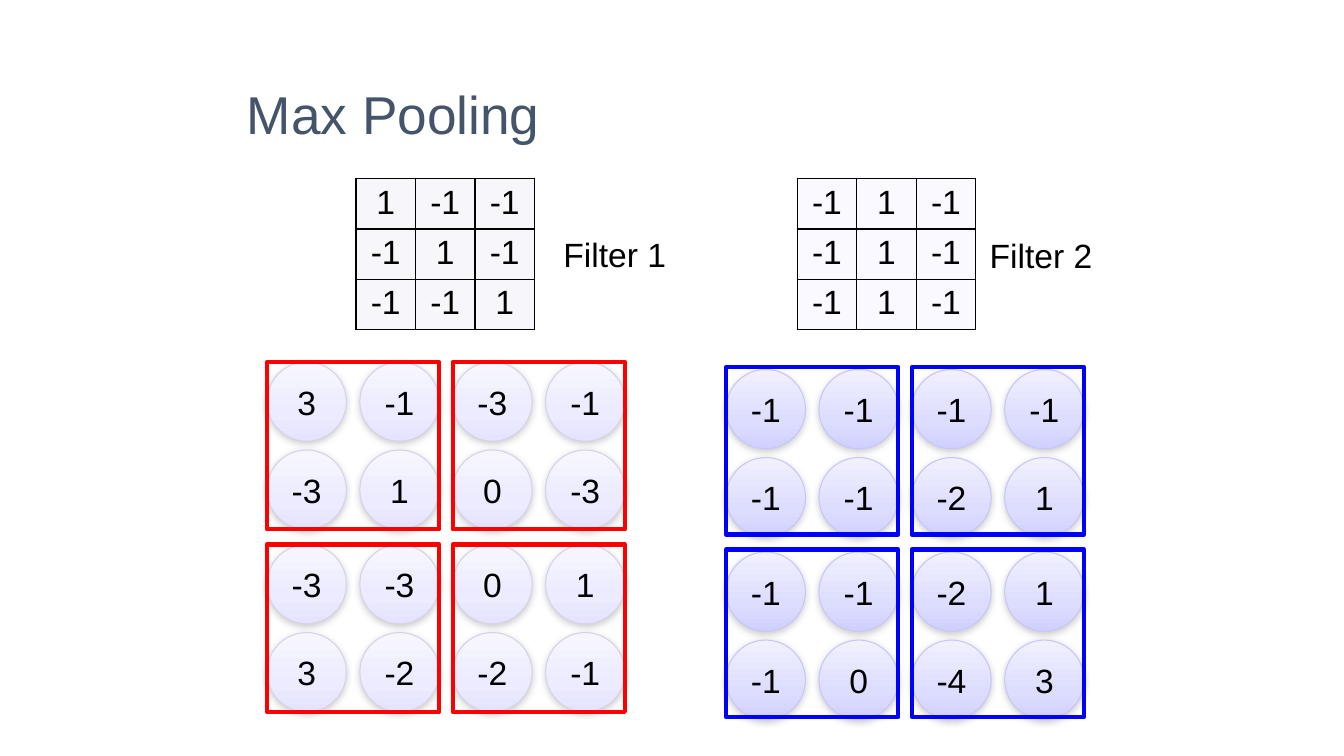
from dataclasses import dataclass
from itertools import product

from pptx import Presentation
from pptx.dml.color import RGBColor
from pptx.enum.shapes import MSO_SHAPE
from pptx.enum.text import MSO_ANCHOR, MSO_AUTO_SIZE, PP_ALIGN
from pptx.oxml import parse_xml
from pptx.oxml.ns import nsdecls, qn
from pptx.util import Cm, Pt


@dataclass(frozen=True)
class Theme:
    font: str = "Arial"
    title_size: int = 38
    body_size: int = 24
    title: str = "44546A"
    text: str = "000000"
    border: str = "000000"
    shadow: str = "808080"


@dataclass(frozen=True)
class Channel:
    label: str
    label_at: tuple
    filter_left: float
    filter_fill: str
    filter_values: tuple
    map_left: float
    circle_top: float
    frame_top: float
    gradient: tuple
    circle_line: str
    frame_line: str
    map_values: tuple


THEME = Theme()
FILTER_TOP, FILTER_COLUMN, FILTER_ROW = 4.5, 1.5, 1.27
CIRCLE_SIZE, CIRCLE_STEP_X, CIRCLE_STEP_Y = 2.0, 2.34, 2.22
WINDOW_STEP_X, WINDOW_STEP_Y = 4.68, 4.6
WINDOW_WIDTH, WINDOW_HEIGHT = 4.34, 4.22

CHANNELS = (
    Channel(
        label="Filter 1", label_at=(13.49, 5.77),
        filter_left=8.97, filter_fill="F7F7FB",
        filter_values=((1, -1, -1), (-1, 1, -1), (-1, -1, 1)),
        map_left=6.73, circle_top=9.12, frame_top=9.12,
        gradient=((0, "F7F6FF"), (65, "ECEBFF"), (100, "E5E3FF")),
        circle_line="D4D3E7", frame_line="FF0000",
        map_values=((3, -1, -3, -1), (-3, 1, 0, -3),
                    (-3, -3, 0, 1), (3, -2, -2, -1)),
    ),
    Channel(
        label="Filter 2", label_at=(24.23, 5.79),
        filter_left=20.09, filter_fill="F9F9FF",
        filter_values=((-1, 1, -1), (-1, 1, -1), (-1, 1, -1)),
        map_left=18.3, circle_top=9.31, frame_top=9.25,
        gradient=((0, "F0F0FF"), (65, "DDDDFF"), (100, "D0D0FF")),
        circle_line="C6C6FB", frame_line="0000FF",
        map_values=((-1, -1, -1, -1), (-1, -1, -2, 1),
                    (-1, -1, -2, 1), (-1, 0, -4, 3)),
    ),
)


def write(text_frame, text, size=THEME.body_size, color=THEME.text, align=PP_ALIGN.CENTER):
    paragraph = text_frame.paragraphs[0]
    paragraph.text = str(text)
    paragraph.alignment = align
    paragraph.font.name = THEME.font
    paragraph.font.size = Pt(size)
    paragraph.font.color.rgb = RGBColor.from_string(color)


def add_title(slide, text):
    text_frame = slide.shapes.add_textbox(Cm(5.97), Cm(1.02), Cm(21.89), Cm(3.68)).text_frame
    text_frame.word_wrap = True
    text_frame.vertical_anchor = MSO_ANCHOR.MIDDLE
    write(text_frame, text, THEME.title_size, THEME.title, PP_ALIGN.LEFT)


def add_label(slide, text, left, top):
    text_frame = slide.shapes.add_textbox(Cm(left), Cm(top), Cm(4.01), Cm(1.28)).text_frame
    text_frame.word_wrap = True
    text_frame.auto_size = MSO_AUTO_SIZE.SHAPE_TO_FIT_TEXT
    write(text_frame, text)


def add_borders(cell):
    properties = cell._tc.get_or_add_tcPr()
    for side in ("lnL", "lnR", "lnT", "lnB"):
        properties.append(parse_xml(
            f'<a:{side} {nsdecls("a")} w="{Pt(1)}"><a:solidFill>'
            f'<a:srgbClr val="{THEME.border}"/></a:solidFill></a:{side}>'))


def add_filter(slide, channel):
    values = channel.filter_values
    rows, columns = len(values), len(values[0])
    table = slide.shapes.add_table(
        rows, columns, Cm(channel.filter_left), Cm(FILTER_TOP),
        Cm(columns * FILTER_COLUMN), Cm(rows * FILTER_ROW)).table
    table.first_row = False
    table.horz_banding = False
    for row, column in product(range(rows), range(columns)):
        cell = table.cell(row, column)
        add_borders(cell)
        cell.fill.solid()
        cell.fill.fore_color.rgb = RGBColor.from_string(channel.filter_fill)
        write(cell.text_frame, values[row][column])


def set_gradient(shape, stops):
    shape.fill.gradient()
    shape.fill.gradient_angle = 270
    stop_list = shape._element.spPr.find(f'.//{qn("a:gsLst")}')
    for stop in list(stop_list):
        stop_list.remove(stop)
    for position, color in stops:
        stop_list.append(parse_xml(
            f'<a:gs {nsdecls("a")} pos="{position * 1000}"><a:srgbClr val="{color}"/></a:gs>'))


def set_shadow(shape):
    shape.shadow.inherit = False
    shape._element.spPr.find(qn("a:effectLst")).append(parse_xml(
        f'<a:outerShdw {nsdecls("a")} blurRad="{Pt(5)}" dist="{Pt(1.6)}" dir="5400000" '
        f'rotWithShape="0"><a:srgbClr val="{THEME.shadow}"><a:alpha val="38000"/>'
        f'</a:srgbClr></a:outerShdw>'))


def set_line(shape, color, width):
    shape.line.color.rgb = RGBColor.from_string(color)
    shape.line.width = Pt(width)


def add_circle(slide, value, left, top, channel):
    circle = slide.shapes.add_shape(
        MSO_SHAPE.OVAL, Cm(left), Cm(top), Cm(CIRCLE_SIZE), Cm(CIRCLE_SIZE))
    set_gradient(circle, channel.gradient)
    set_line(circle, channel.circle_line, 0.75)
    set_shadow(circle)
    circle.text_frame.vertical_anchor = MSO_ANCHOR.MIDDLE
    write(circle.text_frame, value)


def add_feature_map(slide, channel):
    for row, values in enumerate(channel.map_values):
        window_row, inner_row = divmod(row, 2)
        top = channel.circle_top + window_row * WINDOW_STEP_Y + inner_row * CIRCLE_STEP_Y
        for column, value in enumerate(values):
            add_circle(slide, value, channel.map_left + column * CIRCLE_STEP_X, top, channel)


def add_pooling_windows(slide, channel):
    for row, column in product(range(2), repeat=2):
        window = slide.shapes.add_shape(
            MSO_SHAPE.RECTANGLE,
            Cm(channel.map_left + column * WINDOW_STEP_X),
            Cm(channel.frame_top + row * WINDOW_STEP_Y),
            Cm(WINDOW_WIDTH), Cm(WINDOW_HEIGHT))
        window.fill.background()
        set_line(window, channel.frame_line, 3)
        window.shadow.inherit = False


def main():
    presentation = Presentation()
    presentation.slide_width, presentation.slide_height = Cm(33.87), Cm(19.05)
    slide = presentation.slides.add_slide(presentation.slide_layouts[6])
    add_title(slide, "Max Pooling")
    for channel in CHANNELS:
        add_filter(slide, channel)
        add_label(slide, channel.label, *channel.label_at)
        add_feature_map(slide, channel)
        add_pooling_windows(slide, channel)
    presentation.save("out.pptx")


if __name__ == "__main__":
    main()
